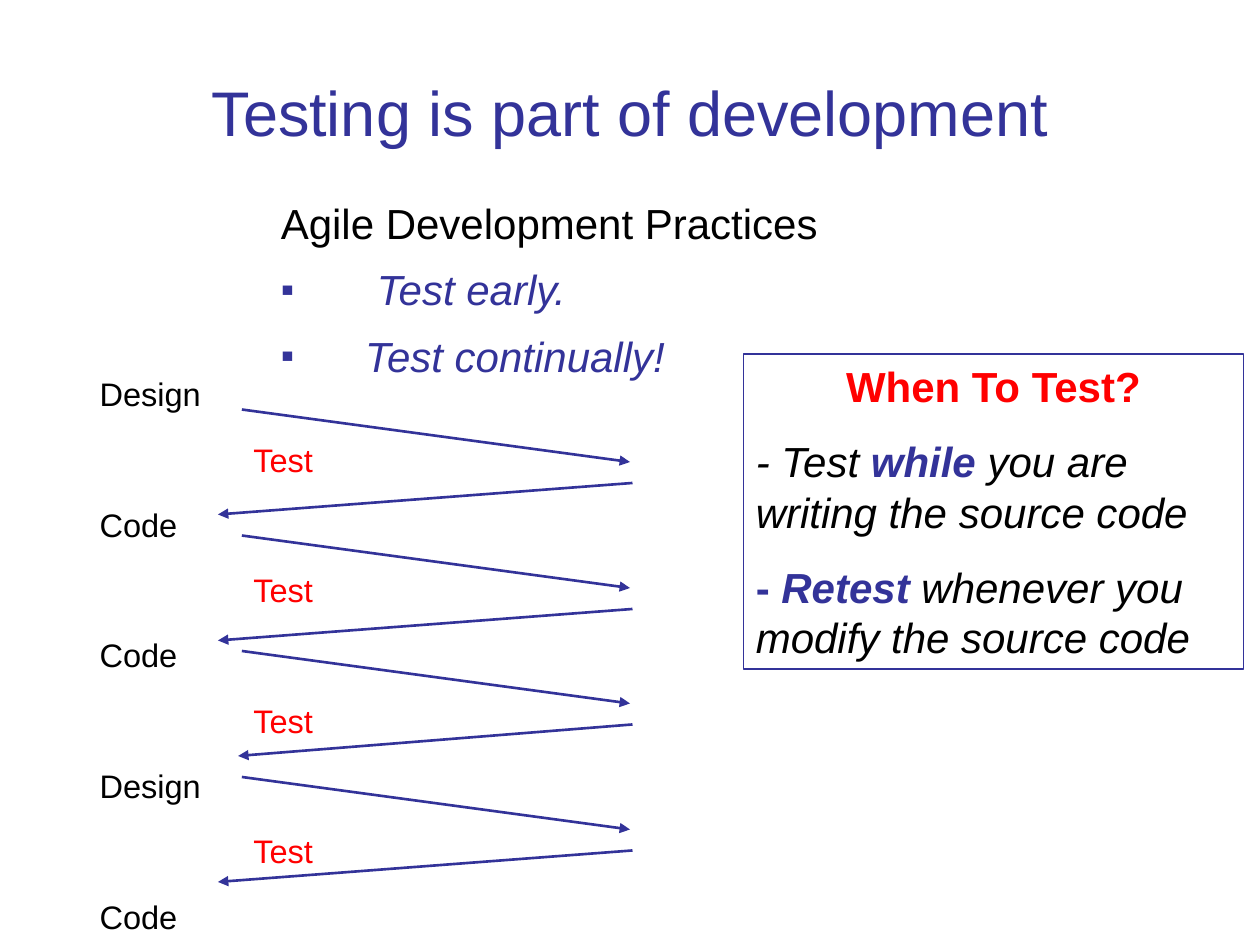
from lxml.etree import SubElement
from pptx import Presentation
from pptx.dml.color import RGBColor
from pptx.enum.shapes import MSO_CONNECTOR, MSO_SHAPE
from pptx.enum.text import MSO_ANCHOR, MSO_AUTO_SIZE, PP_ALIGN
from pptx.oxml.ns import qn
from pptx.util import Inches, Pt

INDIGO = RGBColor(0x33, 0x33, 0x99)
RED = RGBColor(0xFF, 0x00, 0x00)
BLACK = RGBColor(0x00, 0x00, 0x00)
FONT = "Arial"


def place(shape, box):
    """Move a shape to a box of left, top, width and height in inches."""
    shape.left, shape.top, shape.width, shape.height = map(Inches, box)


def prepare(frame, anchor=MSO_ANCHOR.TOP, fit=MSO_AUTO_SIZE.NONE):
    """Set wrapping, anchor and fitting of a text frame."""
    frame.word_wrap = True
    frame.auto_size = fit
    frame.vertical_anchor = anchor


def add_bullet(properties, bullet):
    """Give paragraph properties an indigo bullet, or none at all."""
    if not bullet:
        SubElement(properties, qn("a:buNone"))
        return
    color = SubElement(properties, qn("a:buClr"))
    SubElement(color, qn("a:srgbClr"), val=str(INDIGO))
    SubElement(properties, qn("a:buSzPct"), val="90000")
    SubElement(properties, qn("a:buFont"), typeface=FONT)
    SubElement(properties, qn("a:buChar"), char=bullet)


def write(frame, index, runs, size=24, align=PP_ALIGN.LEFT, before=0,
          margin=0, indent=0, bullet=None):
    """Write runs of (text, color, bold, italic) as the paragraph at index."""
    paragraph = frame.add_paragraph() if index else frame.paragraphs[0]
    properties = paragraph._p.get_or_add_pPr()
    properties.set("marL", str(Inches(margin)))
    properties.set("indent", str(Inches(indent)))
    add_bullet(properties, bullet)
    paragraph.alignment = align
    paragraph.line_spacing = 1.0
    paragraph.space_before = Pt(before if index else 0)
    for text, color, bold, italic in runs:
        run = paragraph.add_run()
        run.text = text
        run.font.name, run.font.size = FONT, Pt(size)
        run.font.bold, run.font.italic = bold, italic
        run.font.color.rgb = color


def fill_title(title, box):
    """Place and write the slide title."""
    place(title, box)
    prepare(title.text_frame, MSO_ANCHOR.BOTTOM)
    write(title.text_frame, 0,
          [("Testing is part of development", INDIGO, False, False)],
          size=36, align=PP_ALIGN.CENTER)


def fill_steps(body, box):
    """List the development steps with a test after each of them."""
    place(body, box)
    prepare(body.text_frame)
    steps = "Design Test Code Test Code Test Design Test Code".split()
    for index, step in enumerate(steps):
        test = step == "Test"
        write(body.text_frame, index,
              [(step, RED if test else BLACK, False, False)],
              size=18.6, before=15, margin=1.24 if test else 0.02)


def add_arrow(slide, start, end):
    """Draw an indigo arrow between two points in inches."""
    arrow = slide.shapes.add_connector(
        MSO_CONNECTOR.STRAIGHT, *map(Inches, start + end))
    arrow.line.color.rgb = INDIGO
    arrow.line.width = Pt(1.5)
    SubElement(arrow.line._get_or_add_ln(), qn("a:tailEnd"), type="triangle")
    SubElement(arrow._element.spPr, qn("a:effectLst"))


def add_zigzag(slide, box):
    """Draw the arrows to testing and back on a grid of 45 rows."""
    left, top, width, height = box
    right, row = left + width, height / 45
    for first_row, inset in ((0, 0), (12, 0), (23, 0.16), (35, 0)):
        y = top + first_row * row
        add_arrow(slide, (left + 0.19, y), (right - 0.02, y + 5 * row))
        add_arrow(slide, (right, y + 7 * row), (left + inset, y + 10 * row))


def add_when_to_test(slide, box):
    """Draw the outlined panel that says when to test."""
    panel = slide.shapes.add_shape(MSO_SHAPE.RECTANGLE, *map(Inches, box))
    panel.shadow.inherit = False
    panel.fill.background()
    panel.line.color.rgb = INDIGO
    panel.line.width = Pt(0.75)
    prepare(panel.text_frame, fit=MSO_AUTO_SIZE.SHAPE_TO_FIT_TEXT)
    write(panel.text_frame, 0, [("When To Test?", RED, True, False)],
          align=PP_ALIGN.CENTER)
    advice = (
        [("- Test ", BLACK, False, True), ("while", INDIGO, True, True),
         (" you are writing the source code", BLACK, False, True)],
        [("- ", INDIGO, True, False), ("Retest", INDIGO, True, True),
         (" whenever you modify the source code", BLACK, False, True)],
    )
    for index, runs in enumerate(advice, 1):
        write(panel.text_frame, index, runs, before=14.3)


def add_practices(slide, box):
    """Write the agile practices with their bullets."""
    frame = slide.shapes.add_textbox(*map(Inches, box)).text_frame
    prepare(frame, fit=MSO_AUTO_SIZE.SHAPE_TO_FIT_TEXT)
    write(frame, 0, [("Agile Development Practices", BLACK, False, False)])
    for index, practice in enumerate((" Test early.", "Test continually!"), 1):
        write(frame, index, [(practice, INDIGO, False, True)],
              before=9, margin=0.67, indent=-0.67, bullet="▪")


def main():
    """Build and save the slide."""
    deck = Presentation()
    deck.slide_width, deck.slide_height = Inches(10), Inches(7.5)
    slide = deck.slides.add_slide(deck.slide_layouts[1])
    fill_title(slide.shapes.title, (0.67, 0.28, 8.66, 0.95))
    fill_steps(slide.placeholders[1], (0.67, 2.92, 5.13, 4.38))
    add_zigzag(slide, (1.73, 3.25, 3.29, 3.75))
    add_when_to_test(slide, (5.9, 2.81, 3.97, 2.5))
    add_practices(slide, (2.13, 1.52, 5.75, 1.55))
    deck.save("out.pptx")


if __name__ == "__main__":
    main()
